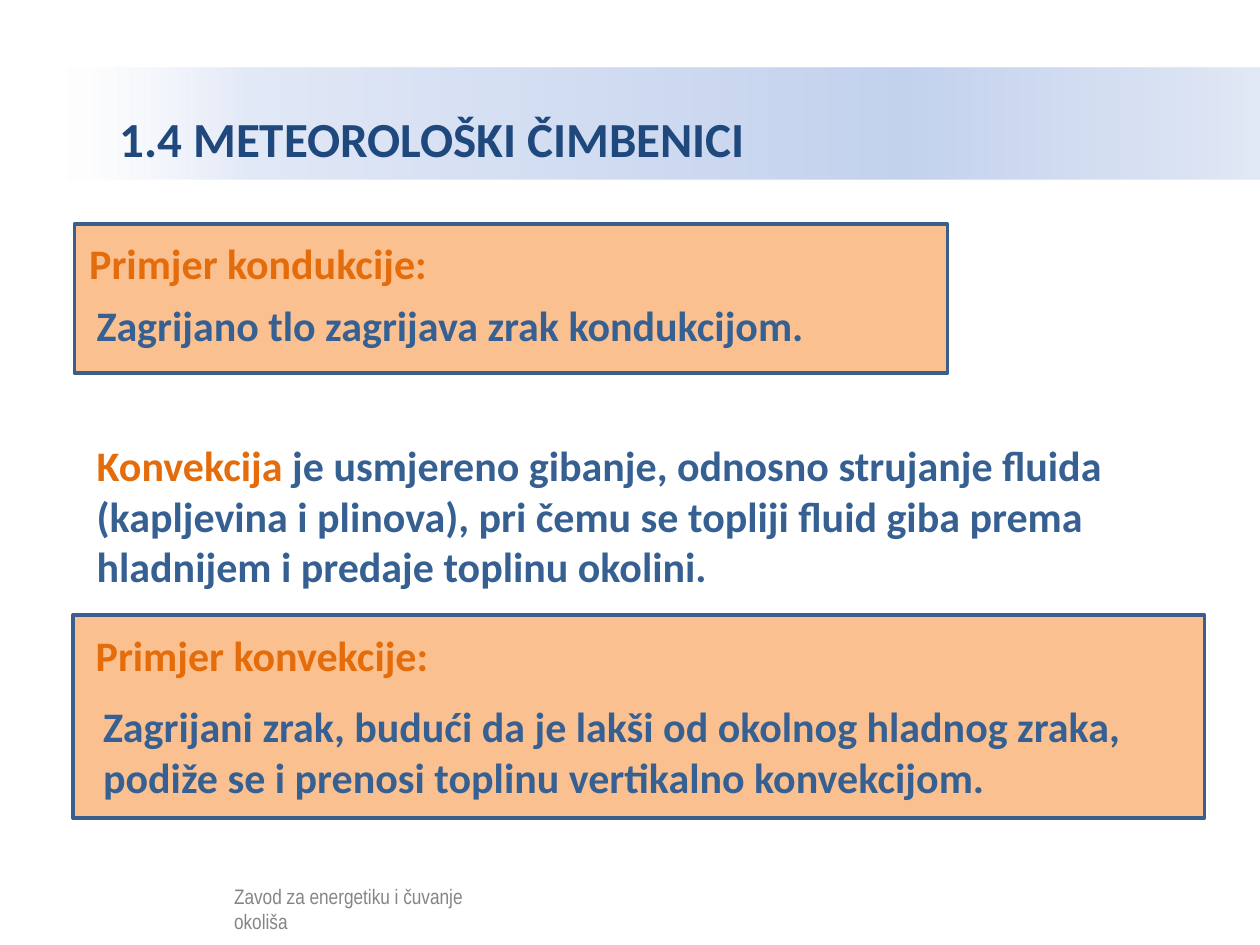
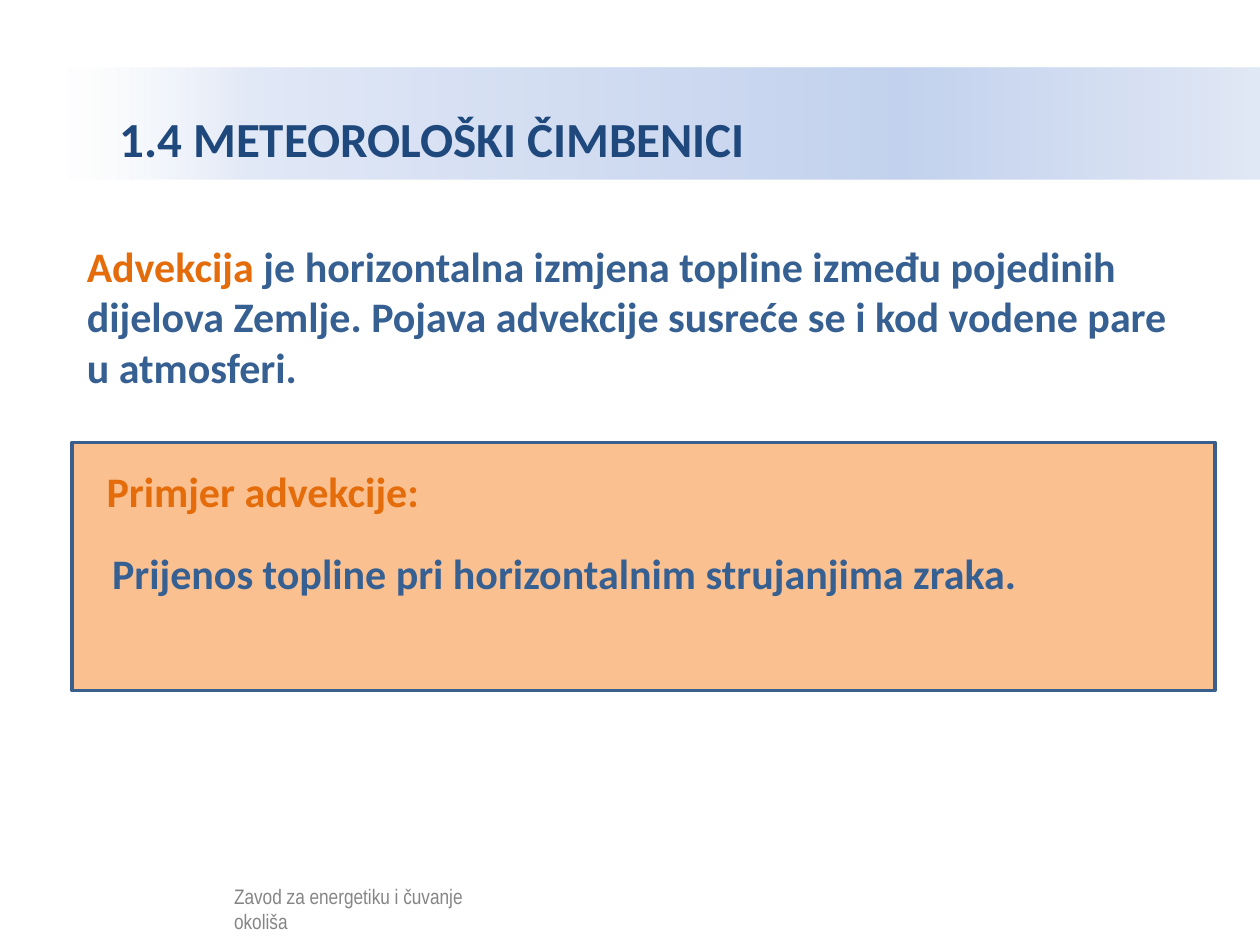
from lxml.etree import SubElement
from pptx import Presentation
from pptx.dml.color import RGBColor
from pptx.enum.shapes import MSO_SHAPE
from pptx.enum.text import MSO_ANCHOR, PP_ALIGN
from pptx.oxml.ns import qn
from pptx.util import Cm, Pt

NAVY, BLUE, RUST = "1F497D", "376092", "E46C0A"
PEACH, EDGE, WHITE, BLACK = "FAC090", "3A5F8C", "FFFFFF", "000000"
STOPS = [(0, WHITE, 52), (16, "E1E8F6", 100),
         (70, "C2D1ED", 100), (100, "E1E8F5", 100)]
HEAD = {"name": "Calibri", "size": Pt(28), "bold": True}
BODY = {"name": "Calibri", "size": Pt(24), "bold": True}
FOOT = {"name": "Arial Narrow", "size": Pt(12), "bold": False}
TITLE = "1.4 METEOROLOŠKI ČIMBENICI"
OWNER = "Zavod za energetiku i čuvanje okoliša"


def tint(code):
    return RGBColor.from_string(code)


def assign(thing, values):
    for name, value in values.items():
        setattr(thing, name, value)


def place(*sizes):
    return [Cm(size) for size in sizes]


def fade(node, share):
    SubElement(node, qn("a:alpha"), val=str(share * 1000))


def write(para, text, code, style):
    run = para.add_run()
    run.text = text
    assign(run.font, style)
    run.font.color.rgb = tint(code)


def add_text(slide, box, parts, style=BODY):
    frame = slide.shapes.add_textbox(*place(*box)).text_frame
    frame.word_wrap = True
    for text, code in parts:
        write(frame.paragraphs[0], text, code, style)


def add_panel(slide, box, code=PEACH, edge=EDGE):
    panel = slide.shapes.add_shape(MSO_SHAPE.RECTANGLE, *place(*box))
    panel.shadow.inherit = False
    panel.fill.solid()
    panel.fill.fore_color.rgb = tint(code)
    if edge:
        panel.line.color.rgb = tint(edge)
        panel.line.width = Pt(2)
    else:
        panel.line.fill.background()
    return panel


def add_title(slide):
    title = slide.shapes.title
    left, top, width, height = place(1.27, 1.37, 24.13, 2.24)
    assign(title, {"left": left, "top": top, "width": width, "height": height})
    title.fill.gradient()
    title.fill.gradient_angle = 0
    stops = next(title._element.spPr.iter(qn("a:gsLst")))
    for stop in list(stops):
        stops.remove(stop)
    for spot, code, share in STOPS:
        stop = SubElement(stops, qn("a:gs"), pos=str(spot * 1000))
        fade(SubElement(stop, qn("a:srgbClr"), val=code), share)
    frame = title.text_frame
    assign(frame, {"margin_left": Cm(1.14), "word_wrap": True,
                   "vertical_anchor": MSO_ANCHOR.MIDDLE})
    para = frame.paragraphs[0]
    assign(para, {"alignment": PP_ALIGN.LEFT, "line_spacing": 1.5})
    write(para, TITLE, NAVY, HEAD)


def add_foot(slide):
    add_text(slide, (4.47, 17.68, 5.31, 0.64), [(OWNER, BLACK)], FOOT)
    veil = add_panel(slide, (1.04, 17.6, 9.7, 1.22), WHITE, None)
    fade(next(veil._element.spPr.iter(qn("a:srgbClr"))), 52)


def add_slide(deck):
    slide = deck.slides.add_slide(deck.slide_layouts[5])
    add_title(slide)
    add_foot(slide)
    return slide


def add_term(slide, box, term, rest):
    add_text(slide, box, [(term, RUST), (rest, BLUE)])


def add_case(slide, panel, label, head, body, text):
    add_panel(slide, panel)
    add_text(slide, (*label, 8.79, 1.27), [(head, RUST)])
    add_text(slide, body, [(text, BLUE)])


def main():
    deck = Presentation()
    deck.slide_width, deck.slide_height = place(25.4, 19.05)

    slide = add_slide(deck)
    add_case(slide, (1.5, 4.52, 17.6, 3), (1.55, 4.67), "Primjer kondukcije:",
             (1.7, 5.92, 22, 1.27), "Zagrijano tlo zagrijava zrak kondukcijom.")
    add_term(slide, (1.7, 8.74, 22, 3.33), "Konvekcija",
             " je usmjereno gibanje, odnosno strujanje fluida (kapljevina i "
             "plinova), pri čemu se topliji fluid giba prema hladnijem i "
             "predaje toplinu okolini.")
    add_case(slide, (1.47, 12.4, 22.81, 4.09), (1.68, 12.57),
             "Primjer konvekcije:", (1.83, 14, 23.06, 2.31),
             "Zagrijani zrak, budući da je lakši od okolnog hladnog zraka, "
             "podiže se i prenosi toplinu vertikalno konvekcijom.")

    slide = add_slide(deck)
    add_term(slide, (1.5, 4.72, 22.61, 3.33), "Advekcija",
             " je horizontalna izmjena topline između pojedinih dijelova "
             "Zemlje. Pojava advekcije susreće se i kod vodene pare u "
             "atmosferi.")
    add_case(slide, (1.45, 8.92, 23.04, 5), (1.9, 9.25), "Primjer advekcije:",
             (2.01, 10.92, 22.3, 1.27),
             "Prijenos topline pri horizontalnim strujanjima zraka.")

    deck.save("out.pptx")


if __name__ == "__main__":
    main()
